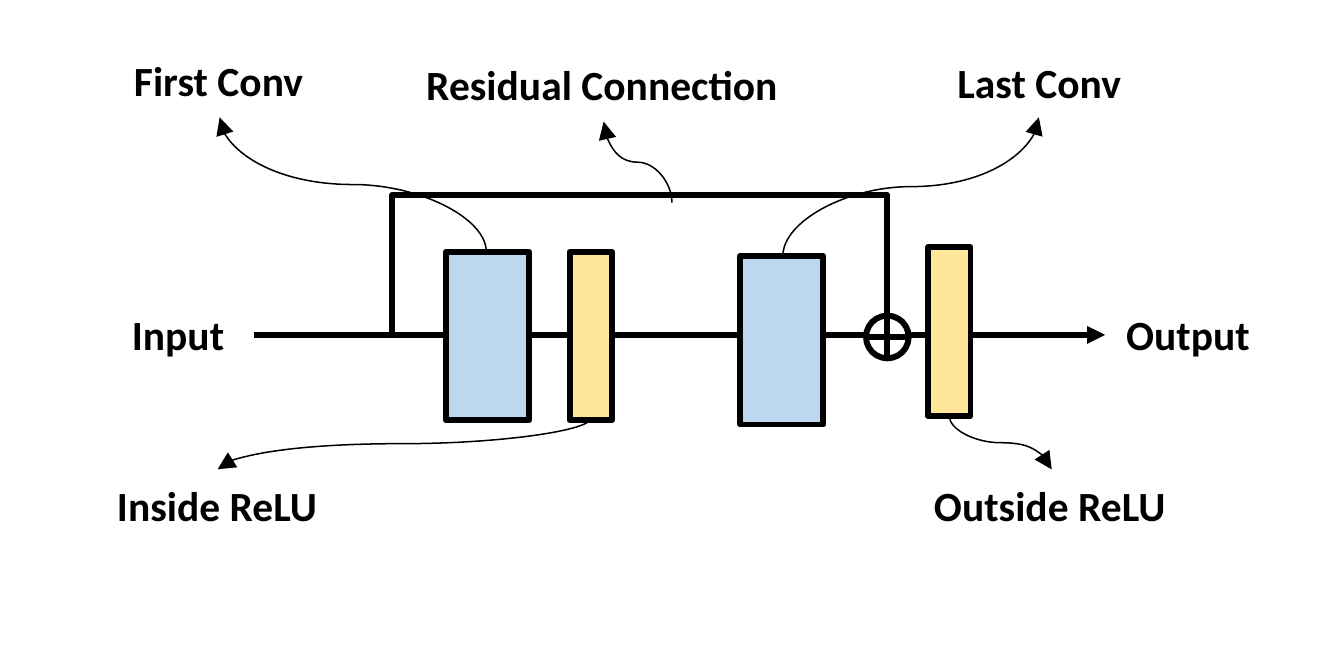
"""Build a slide showing a residual block with its convolutions, ReLUs and skip connection."""
from lxml import etree
from pptx import Presentation
from pptx.dml.color import RGBColor
from pptx.enum.shapes import MSO_CONNECTOR, MSO_SHAPE
from pptx.enum.text import MSO_AUTO_SIZE
from pptx.oxml.ns import qn
from pptx.util import Inches, Pt

BLACK = RGBColor(0x00, 0x00, 0x00)
WHITE = RGBColor(0xFF, 0xFF, 0xFF)
CONV_BLUE = RGBColor(0xBD, 0xD7, 0xEE)
RELU_YELLOW = RGBColor(0xFF, 0xE6, 0x99)
THICK, THIN = 2, 0.5

prs = Presentation()
prs.slide_width, prs.slide_height = Inches(6.3), Inches(3.15)
slide = prs.slides.add_slide(prs.slide_layouts[6])


def add_line(kind, x1, y1, x2, y2, weight, arrow=False, degrees=0):
    line = slide.shapes.add_connector(kind, Inches(x1), Inches(y1), Inches(x2), Inches(y2))
    line.line.color.rgb = BLACK
    line.line.width = Pt(weight)
    properties = line.element.spPr
    if arrow:
        etree.SubElement(line.line._get_or_add_ln(), qn("a:tailEnd"), type="triangle")
    if degrees:
        properties.find(qn("a:xfrm")).set("rot", str(degrees * 60000))
    etree.SubElement(properties, qn("a:effectLst"))
    return line


def add_block(preset, left, top, width, height, color):
    block = slide.shapes.add_shape(preset, Inches(left), Inches(top), Inches(width), Inches(height))
    block.shadow.inherit = False
    block.fill.solid()
    block.fill.fore_color.rgb = color
    block.line.color.rgb = BLACK
    block.line.width = Pt(THICK)


add_line(MSO_CONNECTOR.STRAIGHT, 1.19, 1.57, 5.18, 1.57, THICK, arrow=True)

sum_x, sum_y, radius = 4.16, 1.58, 0.1
add_block(MSO_SHAPE.OVAL, sum_x - radius, sum_y - radius, 2 * radius, 2 * radius, WHITE)
for dx, dy in [(radius, 0), (0, radius)]:
    add_line(MSO_CONNECTOR.STRAIGHT, sum_x - dx, sum_y - dy, sum_x + dx, sum_y + dy, THICK)

residual = add_line(MSO_CONNECTOR.ELBOW, sum_x, 1.48, 2.09, 1.57, THICK, degrees=180)
geometry = residual.element.spPr.find(qn("a:prstGeom"))
geometry.set("prst", "bentConnector4")
adjustments = geometry.find(qn("a:avLst"))
for name, value in [("adj1", -12100), ("adj2", 728000)]:
    etree.SubElement(adjustments, qn("a:gd"), name=name, fmla=f"val {value}")

for left, top, width, color in [
    (2.09, 1.18, 0.39, CONV_BLUE),
    (2.67, 1.18, 0.2, RELU_YELLOW),
    (3.47, 1.2, 0.39, CONV_BLUE),
    (4.35, 1.16, 0.2, RELU_YELLOW),
]:
    add_block(MSO_SHAPE.RECTANGLE, left, top, width, 0.79, color)

for text, left, top, width in [
    ("First Conv", 0.53, 0.21, 1),
    ("Last Conv", 4.39, 0.22, 0.97),
    ("Input", 0.52, 1.4, 0.64),
    ("Output", 5.18, 1.4, 0.79),
    ("Residual Connection", 1.9, 0.23, 1.86),
    ("Inside ReLU", 0.45, 2.2, 1.15),
    ("Outside ReLU", 4.28, 2.2, 1.3),
]:
    label = slide.shapes.add_textbox(Inches(left), Inches(top), Inches(width), Inches(0.34))
    frame = label.text_frame
    frame.word_wrap = False
    frame.auto_size = MSO_AUTO_SIZE.SHAPE_TO_FIT_TEXT
    run = frame.paragraphs[0].add_run()
    run.text = text
    run.font.name = "Calibri"
    run.font.size = Pt(14)
    run.font.bold = True
    run.font.color.rgb = BLACK

for x1, y1, x2, y2 in [
    (2.28, 1.18, 1.03, 0.55),
    (3.15, 0.95, 2.83, 0.57),
    (2.77, 1.96, 1.02, 2.2),
    (4.45, 1.95, 4.93, 2.2),
    (3.67, 1.2, 4.87, 0.55),
]:
    mid_x, mid_y = (x1 + x2) / 2, (y1 + y2) / 2
    half_x, half_y = (x2 - x1) / 2, (y2 - y1) / 2
    add_line(MSO_CONNECTOR.CURVE, mid_x - half_y, mid_y + half_x,
             mid_x + half_y, mid_y - half_x, THIN, arrow=True, degrees=90)

prs.save("out.pptx")
